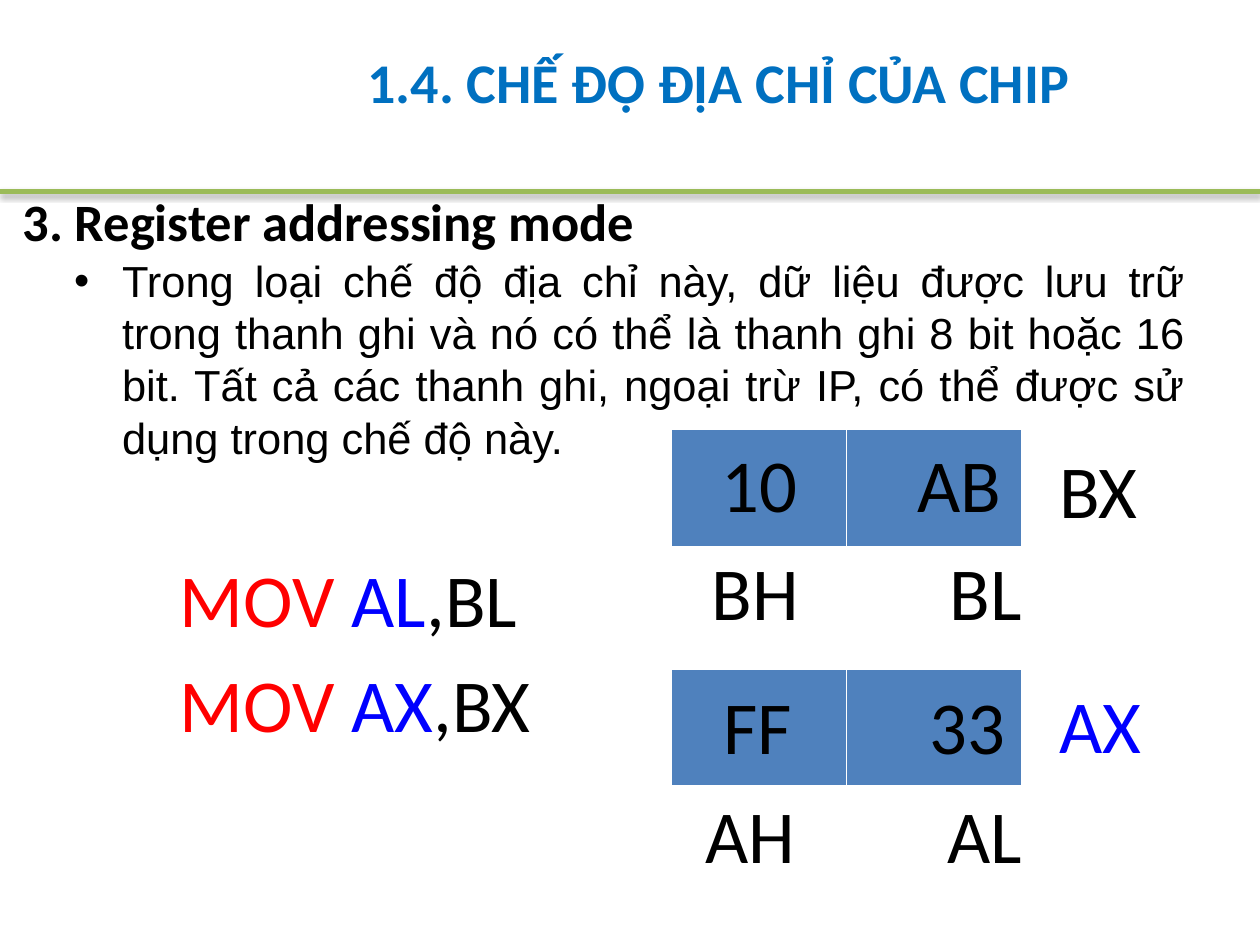
from lxml import etree
from pptx import Presentation
from pptx import util as u
from pptx.dml.color import RGBColor
from pptx.enum import shapes, text
from pptx.oxml.ns import qn

BLACK = RGBColor(0, 0, 0)
RED = RGBColor(0xFF, 0, 0)
BLUE = RGBColor(0, 0, 0xFF)
SKY = RGBColor(0x00, 0x70, 0xC0)
CELL = RGBColor(0x4F, 0x81, 0xBD)
GREEN = RGBColor(0x9B, 0xBB, 0x59)
BIG = 42.7

deck = Presentation()
deck.slide_width, deck.slide_height = u.Inches(10), u.Inches(7.5)
slide = deck.slides.add_slide(deck.slide_layouts[6])


def area(x, y, w, h):
    """Turn percent shares of the slide into lengths."""
    wide, high = deck.slide_width, deck.slide_height
    return [int(part * full / 100) for part, full in
            zip((x, y, w, h), (wide, high, wide, high))]


def write(place, lines, size, font="Calibri", bold=False, gap=0):
    """Add a text box; each line is a list of (words, colour) runs."""
    frame = slide.shapes.add_textbox(*area(*place)).text_frame
    frame.word_wrap = True
    for i, line in enumerate(lines):
        para = frame.paragraphs[0] if i == 0 else frame.add_paragraph()
        para.space_before = u.Pt(gap)
        for words, tint in line:
            run = para.add_run()
            run.text = words
            run.font.size, run.font.name = u.Pt(size), font
            run.font.bold = bold
            run.font.color.rgb = tint
    return frame


# Explanation with a hanging bullet
body = write((4.9, 26.27, 90.2, 20), [[(
    "Trong loại chế độ địa chỉ này, dữ liệu được lưu trữ trong thanh ghi "
    "và nó có thể là thanh ghi 8 bit hoặc 16 bit. Tất cả các thanh ghi, "
    "ngoại trừ IP, có thể được sử dụng trong chế độ này.", BLACK)]],
    24.8, "Arial", gap=5)
para = body.paragraphs[0]
para.alignment = text.PP_ALIGN.JUSTIFY
props = para._p.get_or_add_pPr()
props.set("marL", str(u.Inches(0.38)))
props.set("indent", str(-u.Inches(0.38)))
etree.SubElement(props, qn("a:buFont")).set("typeface", "Arial")
etree.SubElement(props, qn("a:buChar")).set("char", "•")

# Instructions
write((13.3, 57.87, 32, 22.13),
      [[("MOV ", RED), (goal, BLUE), ("," + src, BLACK)]
       for goal, src in (("AL", "BL"), ("AX", "BX"))], BIG, gap=8.5)

# Register pairs: two cells each
for top in (45.47, 70.8):
    grid = slide.shapes.add_table(1, 2, *area(53.3, top, 27.8, 12.4)).table
    for cell in grid.iter_cells():
        cell.fill.solid()
        cell.fill.fore_color.rgb = CELL

# Register values and names
for x, y, word, tint in (
        (56.3, 45.7, "10", BLACK), (71.8, 45.7, "AB", BLACK),
        (83.1, 46.27, "BX", BLACK),
        (55.5, 57.07, "BH", BLACK), (74.4, 57.07, "BL", BLACK),
        (56.4, 71.33, "FF", BLACK), (72.8, 71.33, "33", BLACK),
        (83.1, 71.2, "AX", BLUE),
        (55, 82.8, "AH", BLACK), (74.2, 82.8, "AL", BLACK)):
    write((x, y, 10, 10.93), [[(word, tint)]], BIG)

# Header rule with a soft shadow
left, top, wide, _ = area(0, 20.27, 100, 0)
rule = slide.shapes.add_connector(
    shapes.MSO_CONNECTOR.STRAIGHT, left, top, wide, top)
rule.line.color.rgb = GREEN
rule.line.width = u.Pt(3)
fx = etree.SubElement(rule._element.spPr, qn("a:effectLst"))
shade = etree.SubElement(fx, qn("a:outerShdw"), blurRad=str(u.Pt(3.1)),
                         dist=str(u.Pt(1.8)), dir="5400000", rotWithShape="0")
tone = etree.SubElement(shade, qn("a:srgbClr"), val="000000")
etree.SubElement(tone, qn("a:alpha"), val="35000")

# Headings
head = write((0.8, 20, 55.8, 6.67),
             [[("3. Register addressing mode", BLACK)]], 30, bold=True)
title = write((15.8, 1.73, 82.5, 13.73),
              [[("1.4. CHẾ ĐỘ ĐỊA CHỈ CỦA CHIP", SKY)]], 32, bold=True)
title.paragraphs[0].alignment = text.PP_ALIGN.CENTER
for frame in (head, title):
    frame.vertical_anchor = text.MSO_ANCHOR.MIDDLE

deck.save("out.pptx")
